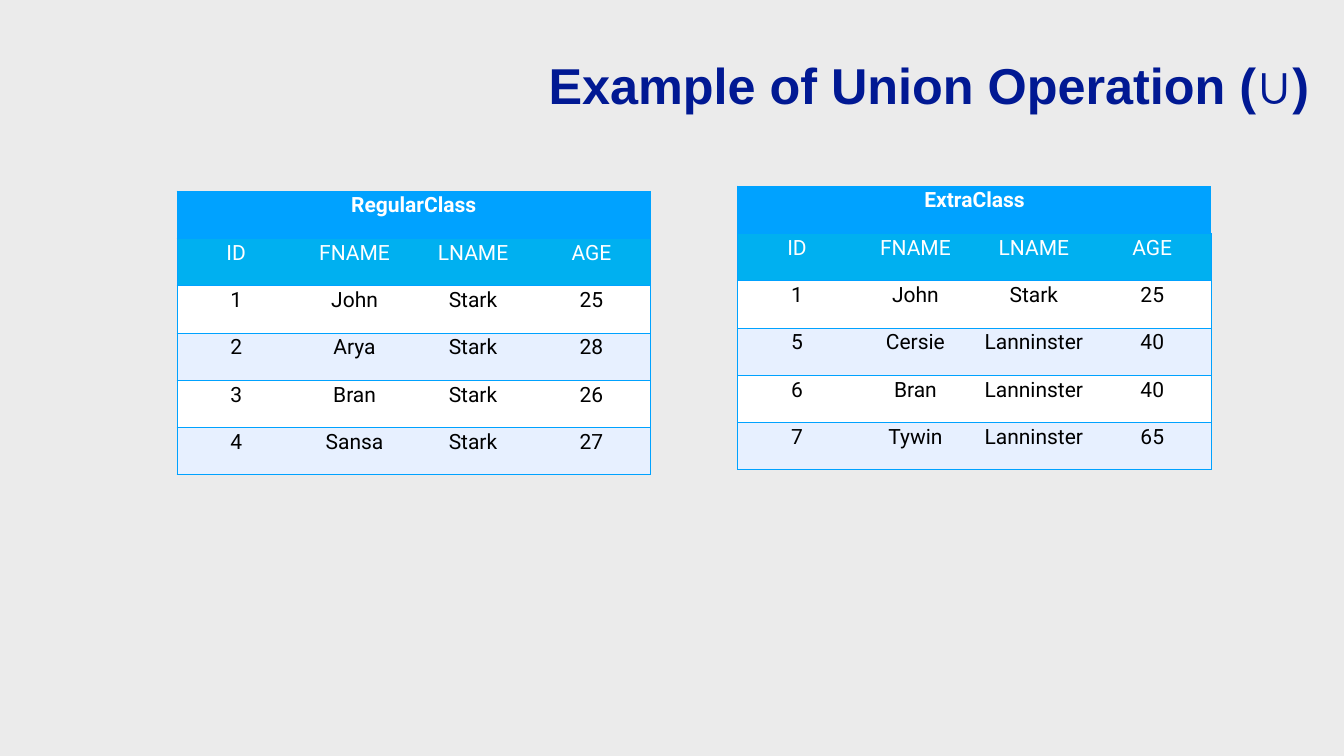
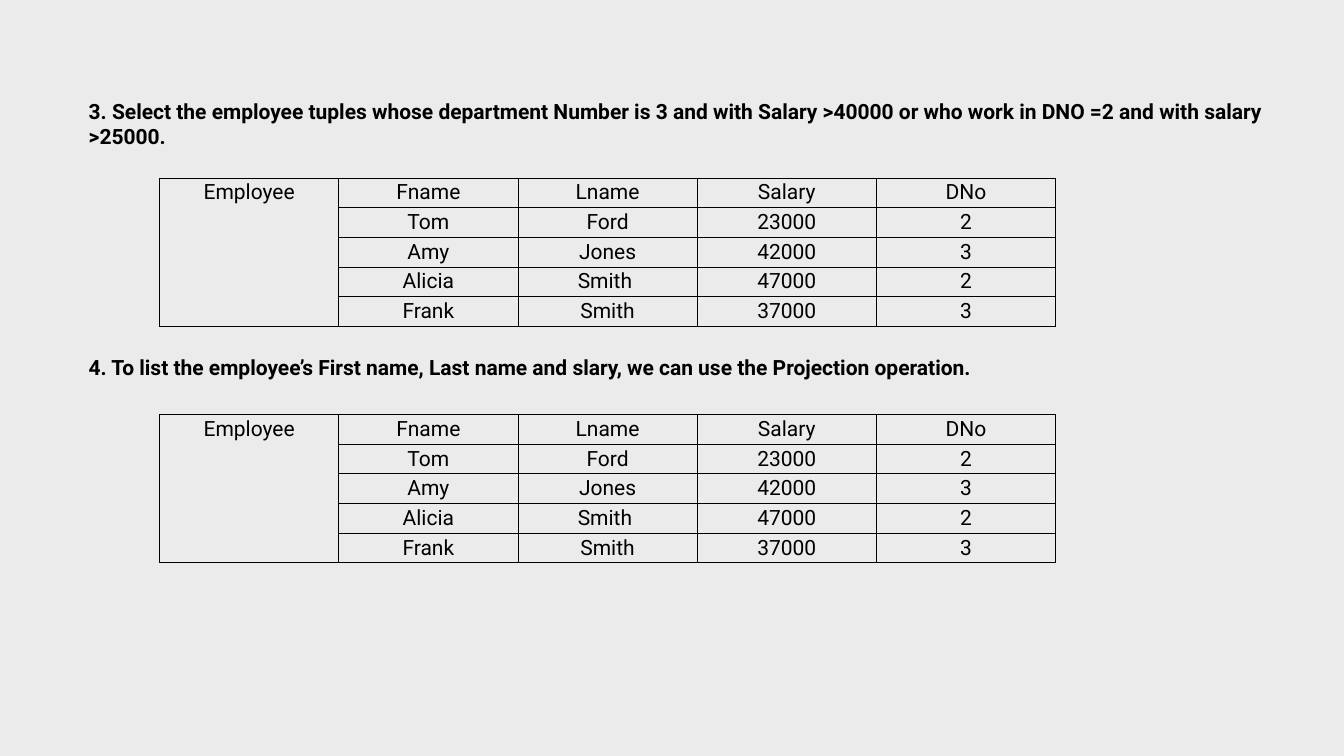
from lxml.etree import SubElement
from pptx import Presentation
from pptx.dml.color import RGBColor
from pptx.enum.text import MSO_ANCHOR, MSO_AUTO_SIZE, PP_ALIGN
from pptx.oxml.ns import qn
from pptx.util import Inches, Pt

COLORS = {
    "background": "EBEBEB",
    "title": "011993",
    "text": "000000",
    "light": "FFFFFF",
    "accent": "00A2FF",
    "heading": "00B0F0",
    "band": "E7F0FF",
}
COLUMNS, ROWS = 48, 27
TITLE_LAYOUT, BLANK_LAYOUT = 5, 6
FIELDS = ["ID", "FNAME", "LNAME", "AGE"]
REGULAR_STUDENTS = [
    ["1", "John", "Stark", "25"],
    ["2", "Arya", "Stark", "28"],
    ["3", "Bran", "Stark", "26"],
    ["4", "Sansa", "Stark", "27"],
]
EXTRA_STUDENTS = [
    ["1", "John", "Stark", "25"],
    ["5", "Cersie", "Lanninster", "40"],
    ["6", "Bran", "Lanninster", "40"],
    ["7", "Tywin", "Lanninster", "65"],
]
EMPLOYEES = [
    ["Employee", "Fname", "Lname", "Salary", "DNo"],
    ["", "Tom", "Ford", "23000", "2"],
    ["", "Amy", "Jones", "42000", "3"],
    ["", "Alicia", "Smith ", "47000", "2"],
    ["", "Frank", "Smith", "37000", "3"],
]


class Deck:
    """Hold the shared style and the current slide."""

    def __init__(self):
        self.presentation = Presentation()
        self.presentation.slide_width = Inches(26.67)
        self.presentation.slide_height = Inches(15)
        fill = self.presentation.slide_master.background.fill
        fill.solid()
        fill.fore_color.rgb = RGBColor.from_string(COLORS["background"])
        self.slide = None

    def place(self, left, top, width, height):
        """Convert grid columns and rows to slide lengths."""
        column = self.presentation.slide_width / COLUMNS
        row = self.presentation.slide_height / ROWS
        return (round(left * column), round(top * row),
                round(width * column), round(height * row))

    def add_slide(self, layout):
        """Start a new slide and clear its spare placeholders."""
        self.slide = self.presentation.slides.add_slide(self.presentation.slide_layouts[layout])
        for placeholder in list(self.slide.placeholders):
            if placeholder != self.slide.shapes.title:
                placeholder.element.getparent().remove(placeholder.element)

    def set_text(self, frame, text, size, color, bold, font="Roboto", align=PP_ALIGN.LEFT):
        """Fill a frame with one uniformly styled paragraph."""
        paragraph = frame.paragraphs[0]
        paragraph.text = text
        paragraph.alignment = align
        paragraph.font.name = font
        paragraph.font.size = Pt(size)
        paragraph.font.bold = bold
        paragraph.font.color.rgb = RGBColor.from_string(COLORS[color])

    def prepare(self, frame, anchor):
        """Set the margins, wrapping and anchor of a text frame."""
        frame.word_wrap = True
        frame.auto_size = MSO_AUTO_SIZE.NONE
        frame.vertical_anchor = anchor
        frame.margin_left = frame.margin_right = Inches(0.06)
        frame.margin_top = frame.margin_bottom = Inches(0.06)

    def add_title(self, text):
        """Format the title placeholder."""
        title = self.slide.shapes.title
        title.left, title.top, title.width, title.height = self.place(2.79, 1.82, 44.1, 2.38)
        self.prepare(title.text_frame, MSO_ANCHOR.MIDDLE)
        self.set_text(title.text_frame, text, 72, "title", True, "Arial", PP_ALIGN.RIGHT)

    def add_question(self, text, top, height):
        """Add a bold question above its table."""
        box = self.slide.shapes.add_textbox(*self.place(3.06, top, 42.33, height))
        self.prepare(box.text_frame, MSO_ANCHOR.TOP)
        self.set_text(box.text_frame, text, 30, "text", True)

    def add_borders(self, cell, color, sides):
        """Draw the given sides of a cell and hide the others."""
        properties = cell._tc.get_or_add_tcPr()
        for side in "LRTB":
            line = SubElement(properties, qn(f"a:ln{side}"), w=str(Pt(1)))
            if side in sides:
                fill = SubElement(line, qn("a:solidFill"))
                SubElement(fill, qn("a:srgbClr"), val=COLORS[color])
            else:
                SubElement(line, qn("a:noFill"))

    def add_table(self, rows, left, top, column_width, row_height):
        """Add an evenly spaced table without built-in banding."""
        columns = len(rows[0])
        place = self.place(left, top, columns * column_width, len(rows) * row_height)
        table = self.slide.shapes.add_table(len(rows), columns, *place).table
        table.first_row = table.horz_banding = False
        return table

    def fill_cell(self, cell, text, color="text", bold=False, fill=None):
        """Set the centred text and the fill of a cell."""
        self.set_text(cell.text_frame, text, 30, color, bold, align=PP_ALIGN.CENTER)
        if fill:
            cell.fill.solid()
            cell.fill.fore_color.rgb = RGBColor.from_string(COLORS[fill])
        else:
            cell.fill.background()

    def add_class_table(self, name, students, left, top):
        """Add a banded class table under a merged name row."""
        rows = [[name, "", "", ""], FIELDS, *students]
        table = self.add_table(rows, left, top, 4.23, 1.69)
        last = len(FIELDS) - 1
        fills = ["accent", "heading"] + ["light", "band"] * 2
        for row, (values, fill) in enumerate(zip(rows, fills)):
            for column, value in enumerate(values):
                cell = table.cell(row, column)
                sides = "TB" + "L" * (column == 0) + "R" * (column == last)
                self.add_borders(cell, "accent", sides)
                self.fill_cell(cell, value, "light" if row < 2 else "text", row == 0, fill)
        table.cell(0, 0).merge(table.cell(0, last))

    def add_employee_table(self, top):
        """Add the ruled employee table with its merged name column."""
        table = self.add_table(EMPLOYEES, 5.7, top, 6.4, 0.9)
        for row, values in enumerate(EMPLOYEES):
            for column, value in enumerate(values):
                cell = table.cell(row, column)
                self.add_borders(cell, "text", "LRTB")
                self.fill_cell(cell, value)
        table.cell(0, 0).merge(table.cell(len(EMPLOYEES) - 1, 0))


def main():
    """Build and save both slides."""
    deck = Deck()
    deck.add_slide(TITLE_LAYOUT)
    deck.add_title("Example of Union Operation (∪)")
    deck.add_class_table("RegularClass", REGULAR_STUDENTS, 6.32, 6.82)
    deck.add_class_table("ExtraClass", EXTRA_STUDENTS, 26.35, 6.64)

    deck.add_slide(BLANK_LAYOUT)
    deck.add_question("3. Select the employee tuples whose department Number is 3 and with Salary "
                      ">40000 or who work in DNO =2 and with salary >25000.", 3.42, 2.93)
    deck.add_employee_table(6.35)
    deck.add_question("4. To list the employee’s First name, Last name and slary, "
                      "we can use the Projection operation.", 12.55, 1.12)
    deck.add_employee_table(14.8)
    deck.presentation.save("out.pptx")


if __name__ == "__main__":
    main()
